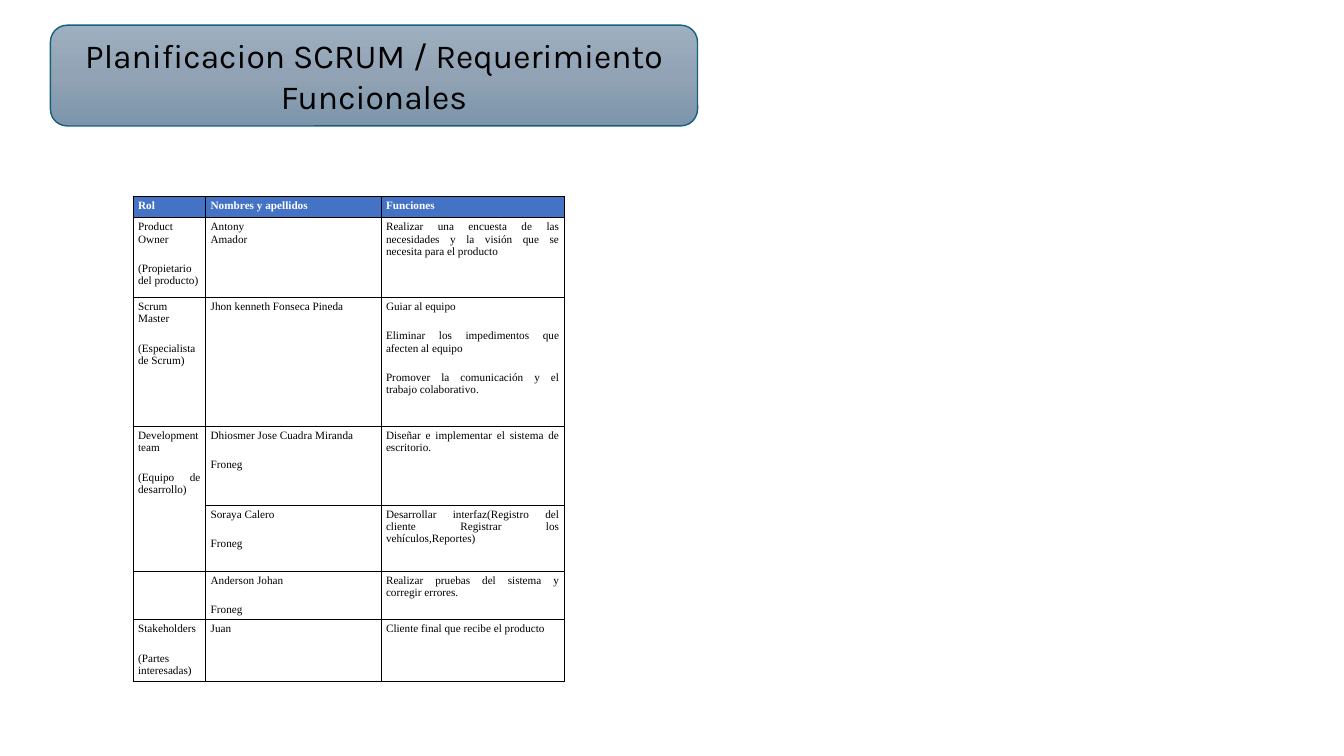
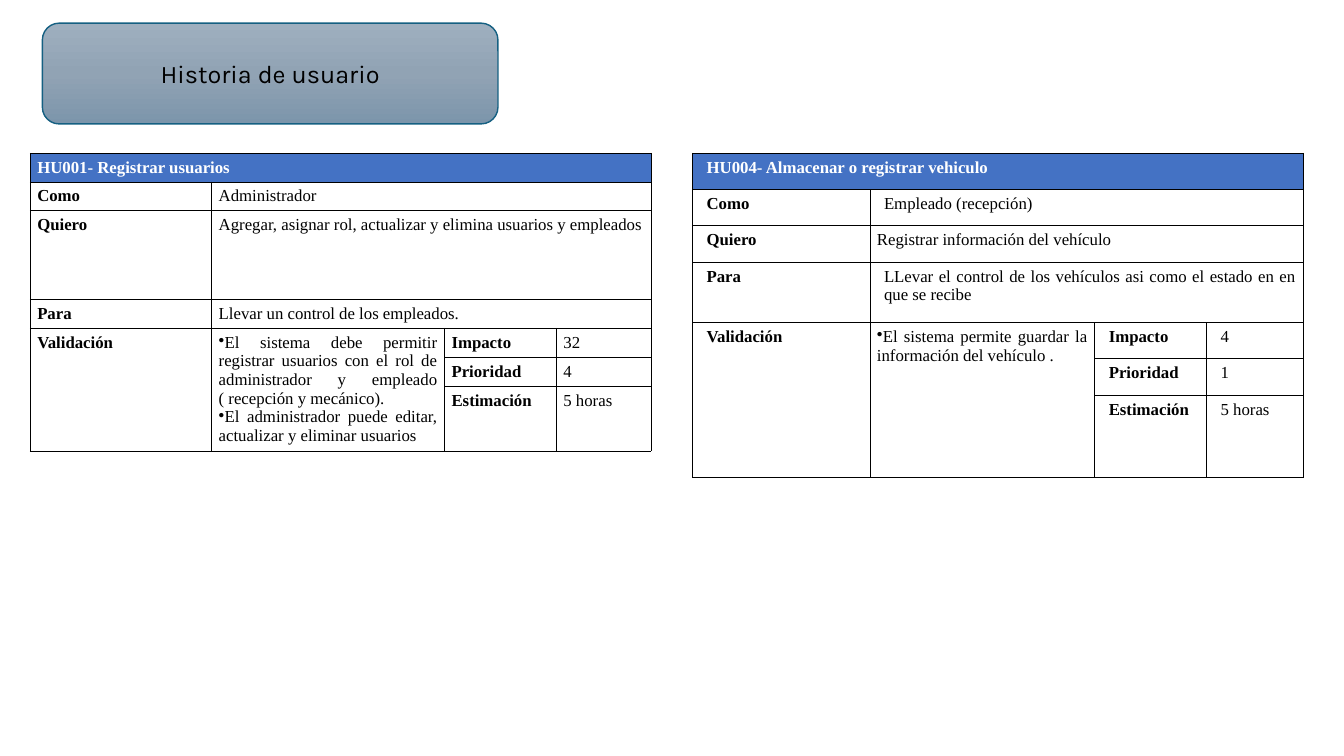
import copy
from dataclasses import dataclass

import lxml.etree
import pptx
import pptx.dml.color
import pptx.enum.shapes
import pptx.enum.text
import pptx.oxml.ns
import pptx.util

GRID_COLUMNS, GRID_ROWS = 133.33, 75
GRID_UNIT = pptx.util.Inches(0.1)
JUSTIFY = pptx.enum.text.PP_ALIGN.JUSTIFY
CENTER = pptx.enum.text.PP_ALIGN.CENTER
qn = pptx.oxml.ns.qn


@dataclass(frozen=True)
class Theme:
    title_font: str = "Karla"
    table_font: str = "Times New Roman"
    ink: str = "000000"
    header_ink: str = "FFFFFF"
    header_fill: str = "4472C4"
    border: str = "000000"
    band_line: str = "156082"
    band_stops: tuple = ("9EAFBF", "91A3B4", "7C95AB")
    title_size: int = 24
    short_title_size: int = 18
    roles_size: int = 8
    story_size: int = 12
    band_line_width: float = 1
    border_width: float = 0.6
    paragraph_gap: int = 12


def grid(units):
    """Length of a number of grid units."""
    return pptx.util.Emu(round(units * GRID_UNIT))


def rgb(value):
    return pptx.dml.color.RGBColor.from_string(value)


def write(frame, paragraphs, *, font, size, color, bold=False, align=JUSTIFY,
          gap=0, indent=0, bullet=None):
    """Fill a text frame with paragraphs of one format."""
    for index, text in enumerate(paragraphs):
        paragraph = frame.paragraphs[0] if index == 0 else frame.add_paragraph()
        paragraph.text = text
        paragraph.alignment = align
        paragraph.space_before = pptx.util.Pt(gap)
        paragraph.font.name = font
        paragraph.font.size = pptx.util.Pt(size)
        paragraph.font.bold = bold
        paragraph.font.color.rgb = rgb(color)
        for run in paragraph.runs:
            run.font.name = font
            run.font.size = pptx.util.Pt(size)
            run.font.bold = bold
            run.font.color.rgb = rgb(color)
        properties = paragraph._p.get_or_add_pPr()
        properties.set("marL", str(grid(indent)))
        properties.set("indent", "0")
        if bullet:
            mark = lxml.etree.SubElement(properties, qn("a:buChar"))
            mark.set("char", bullet)


class Deck:
    """Holds the theme and the current slide, and draws elements on it."""

    def __init__(self, theme):
        self.theme = theme
        self.presentation = pptx.Presentation()
        self.presentation.slide_width = grid(GRID_COLUMNS)
        self.presentation.slide_height = grid(GRID_ROWS)
        self.slide = None

    def new_slide(self):
        blank = self.presentation.slide_layouts[6]
        self.slide = self.presentation.slides.add_slide(blank)

    def title_band(self, text, left, top, width, size):
        band = self.slide.shapes.add_shape(
            pptx.enum.shapes.MSO_SHAPE.ROUNDED_RECTANGLE,
            grid(left), grid(top), grid(width), grid(10))
        band.shadow.inherit = False
        band.line.color.rgb = rgb(self.theme.band_line)
        band.line.width = pptx.util.Pt(self.theme.band_line_width)
        band.fill.gradient()
        band.fill.gradient_angle = 270
        stop_list = band._element.spPr.find(".//" + qn("a:gsLst"))
        stop_list.insert(1, copy.deepcopy(stop_list[0]))
        for index, stop in enumerate(band.fill.gradient_stops):
            stop.position = index / 2
            stop.color.rgb = rgb(self.theme.band_stops[index])
        band.text_frame.word_wrap = True
        band.text_frame.vertical_anchor = pptx.enum.text.MSO_ANCHOR.MIDDLE
        write(band.text_frame, [text], font=self.theme.title_font, size=size,
              color=self.theme.ink, align=CENTER)

    def table(self, left, top, widths, heights, margins):
        """Add a bordered table whose first row is the header."""
        table = self.slide.shapes.add_table(
            len(heights), len(widths), grid(left), grid(top),
            grid(sum(widths)), grid(sum(heights))).table
        table.first_row = table.horz_banding = False
        for column, width in zip(table.columns, widths):
            column.width = grid(width)
        for row, height in zip(table.rows, heights):
            row.height = grid(height)
        side, vertical = margins
        for index, cell in enumerate(table.iter_cells()):
            cell.margin_left = cell.margin_right = grid(side)
            cell.margin_top = cell.margin_bottom = grid(vertical)
            self.border(cell)
            if index < len(widths):
                cell.fill.solid()
                cell.fill.fore_color.rgb = rgb(self.theme.header_fill)
            else:
                cell.fill.background()
        return table

    def border(self, cell):
        properties = cell._tc.get_or_add_tcPr()
        for index, side in enumerate("LRTB"):
            line = lxml.etree.Element(qn(f"a:ln{side}"))
            line.set("w", str(pptx.util.Pt(self.theme.border_width)))
            fill = lxml.etree.SubElement(line, qn("a:solidFill"))
            lxml.etree.SubElement(fill, qn("a:srgbClr")).set("val", self.theme.border)
            properties.insert(index, line)

    def cell_text(self, cell, paragraphs, size, header=False, **extra):
        settings = {"gap": self.theme.paragraph_gap, "bold": header, **extra}
        color = self.theme.header_ink if header else self.theme.ink
        write(cell.text_frame, paragraphs, font=self.theme.table_font, size=size,
              color=color, **settings)

    def roles_table(self, left, top, widths, heights, rows):
        """Roles by row; a role of None continues the one above."""
        table = self.table(left, top, widths, heights, (0.5, 0.3))
        for row, entries in enumerate(rows):
            for column, paragraphs in enumerate(entries):
                if paragraphs is None:
                    table.cell(row - 1, column).merge(table.cell(row, column)) \
                        if not table.cell(row - 1, column).is_spanned else None
                    continue
                end = row
                while end + 1 < len(rows) and rows[end + 1][column] is None:
                    end += 1
                cell = table.cell(row, column)
                self.cell_text(cell, paragraphs, self.theme.roles_size, row == 0)

    def story_table(self, left, top, widths, heights, story, indent=0):
        table = self.table(left, top, widths, heights, (0.7, 0.5))
        size = self.theme.story_size
        table.cell(0, 0).merge(table.cell(0, 3))
        self.cell_text(table.cell(0, 0), [story["title"]], size, True, indent=indent)

        for row, (label, value, value_indent) in enumerate(story["fields"], 1):
            table.cell(row, 1).merge(table.cell(row, 3))
            self.cell_text(table.cell(row, 0), [label], size, bold=True, indent=indent)
            self.cell_text(table.cell(row, 1), [value], size, indent=value_indent)

        for column in (0, 1):
            table.cell(4, column).merge(table.cell(6, column))
        self.cell_text(table.cell(4, 0), ["Validación"], size, bold=True, indent=indent)
        self.cell_text(table.cell(4, 1), story["criteria"], size, gap=0, bullet="•")

        labels = ("Impacto", "Prioridad", "Estimación")
        for row, (label, value) in enumerate(zip(labels, story["ratings"]), 4):
            self.cell_text(table.cell(row, 2), [label], size, bold=True, indent=indent)
            self.cell_text(table.cell(row, 3), [value], size, indent=indent)


ROLES = [
    (["Rol"], ["Nombres y apellidos"], ["Funciones"]),
    (["Product Owner", "(Propietario del producto)"],
     ["Antony\vAmador"],
     ["Realizar una encuesta de las necesidades y la visión que se necesita "
      "para el producto"]),
    (["Scrum Master", "(Especialista de Scrum)"],
     ["Jhon kenneth Fonseca Pineda"],
     ["Guiar al equipo",
      "Eliminar los impedimentos que afecten al equipo",
      "Promover la comunicación y el trabajo colaborativo."]),
    (["Development team", "(Equipo de desarrollo)"],
     ["Dhiosmer Jose Cuadra Miranda", "Froneg"],
     ["Diseñar e implementar el sistema de escritorio."]),
    (None,
     ["Soraya Calero", "Froneg"],
     ["Desarrollar interfaz(Registro del cliente Registrar los "
      "vehículos,Reportes)"]),
    (None,
     ["Anderson Johan", "Froneg"],
     ["Realizar pruebas del sistema y corregir errores."]),
    (["Stakeholders", "(Partes interesadas)"],
     ["Juan"],
     ["Cliente final que recibe el producto"]),
]

STORY_INDENT = 0.7

USERS_STORY = {
    "title": "HU001- Registrar usuarios",
    "fields": [
        ("Como", "Administrador", 0),
        ("Quiero", "Agregar, asignar rol, actualizar y elimina usuarios y empleados", 0),
        ("Para", "Llevar un control de los empleados.", 0),
    ],
    "criteria": [
        "El sistema debe permitir registrar usuarios con el rol de "
        "administrador y empleado ( recepción y mecánico).",
        "El administrador puede editar, actualizar y eliminar usuarios",
    ],
    "ratings": ("32", "4", "5 horas"),
}

VEHICLE_STORY = {
    "title": "HU004- Almacenar o registrar vehiculo",
    "fields": [
        ("Como", "Empleado (recepción)", STORY_INDENT),
        ("Quiero", "Registrar información del vehículo", 0),
        ("Para", "LLevar el control de los vehículos asi como el estado en en "
                 "que se recibe", STORY_INDENT),
    ],
    "criteria": ["El sistema permite guardar la información del vehículo ."],
    "ratings": ("4", "1", "5 horas"),
}


def main():
    theme = Theme()
    deck = Deck(theme)

    deck.new_slide()
    deck.title_band("Planificacion SCRUM / Requerimiento Funcionales",
                    5, 2.5, 64.2, theme.title_size)
    deck.roles_table(13.2, 19.5, (7.2, 17.4, 18.2),
                     (2.1, 7.9, 12.8, 7.8, 6.6, 4.8, 6.1), ROLES)

    deck.new_slide()
    deck.title_band("Historia de usuario", 4.2, 2.3, 45.2, theme.short_title_size)
    deck.story_table(68.7, 15.2, (17.6, 22.3, 11.1, 9.6),
                     (3.6, 3.6, 3.6, 6, 3.6, 3.6, 8.2), VEHICLE_STORY, STORY_INDENT)
    deck.story_table(3, 15.2, (18, 23.1, 11.1, 9.4),
                     (2.8, 2.8, 8.8, 2.8, 2.9, 2.9, 6.4), USERS_STORY)

    deck.presentation.save("out.pptx")


if __name__ == "__main__":
    main()
